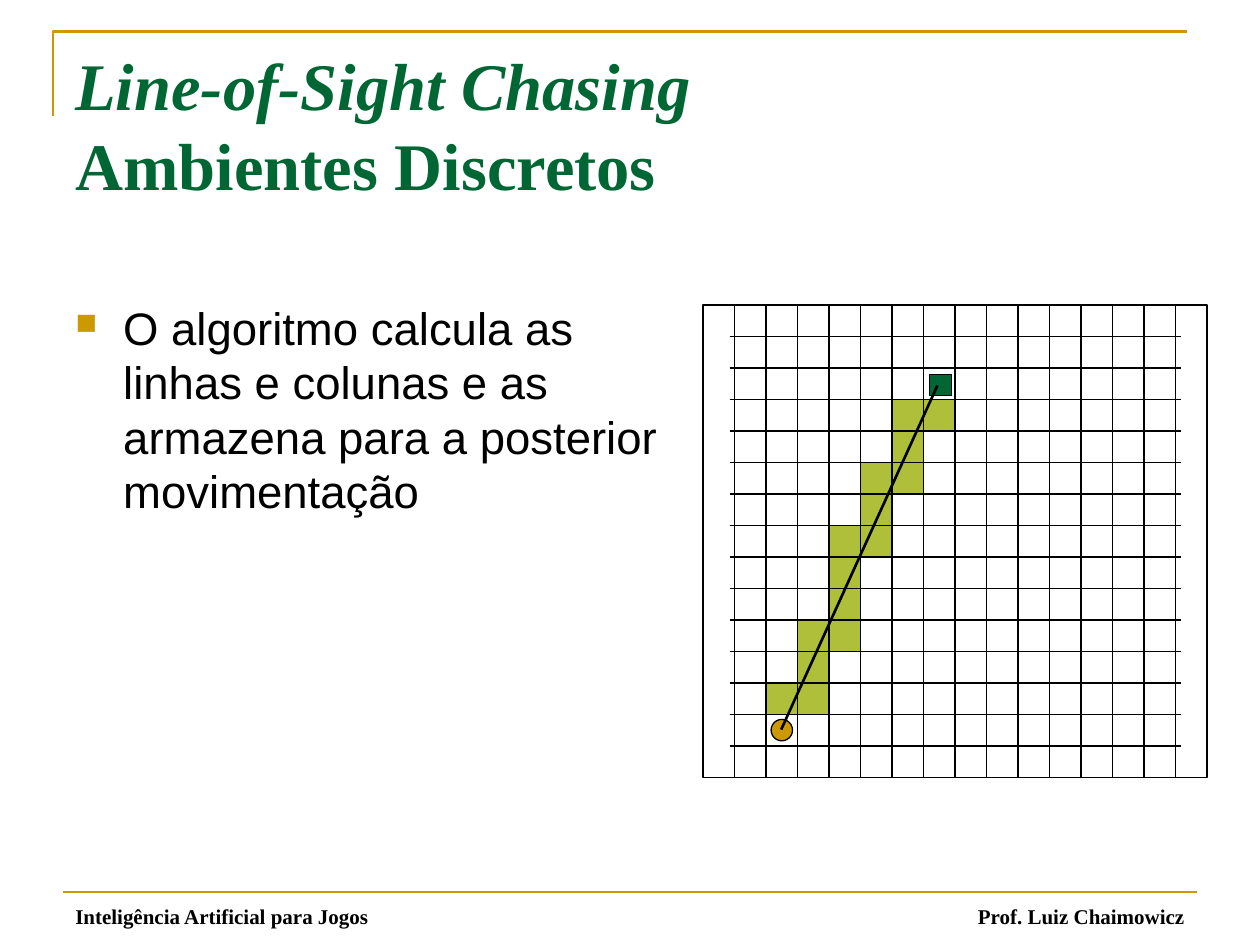
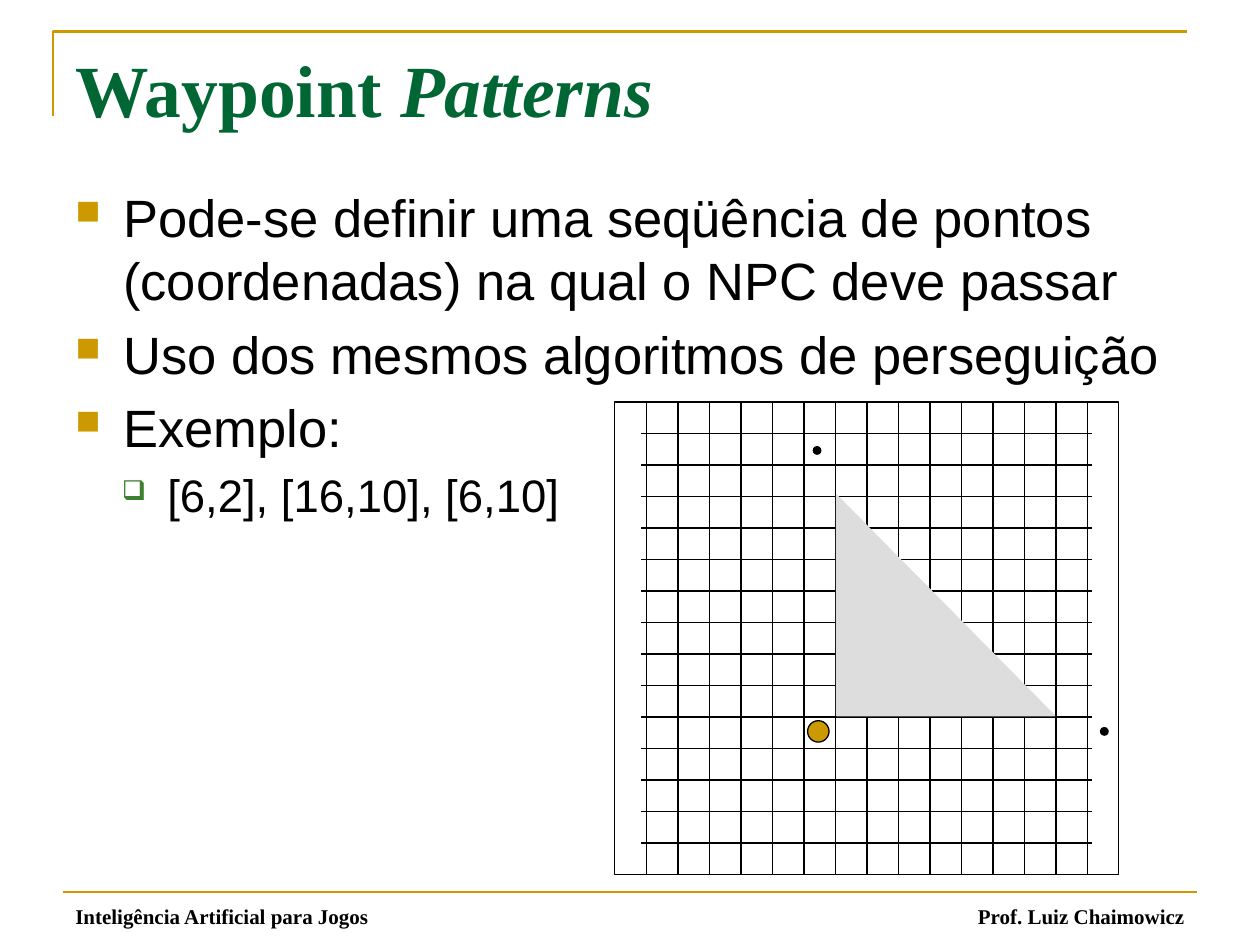
from collections import namedtuple
from dataclasses import dataclass

from lxml import etree
from pptx import Presentation
from pptx.dml.color import RGBColor
from pptx.enum import shapes, text
from pptx.oxml.ns import qn
from pptx.util import Inches, Pt


@dataclass(frozen=True)
class Theme:
    gold: str = "CC9900"
    green: str = "006633"
    leaf: str = "3B812F"
    path_cell: str = "AFBF39"
    obstacle: str = "DDDDDD"
    ink: str = "000000"
    serif: str = "Times New Roman"
    sans: str = "Arial"
    title_size: int = 42
    long_title_size: int = 38
    body_size: int = 30
    small_body_size: int = 26
    footer_size: int = 12
    thin: float = 0.75
    thick: float = 1.5


theme = Theme()
Span = namedtuple("Span", "words size italic", defaults=(False,))
Block = namedtuple("Block", "place font color bold align anchor paras")
Para = namedtuple("Para", "spans bullet", defaults=(None,))
Bullet = namedtuple("Bullet", "mark color percent indent hanging")

square = Bullet("■", theme.gold, 65, 0.38, 0.38)
hollow = Bullet("❑", theme.leaf, 60, 0.73, 0.36)
left, right = text.PP_ALIGN.LEFT, text.PP_ALIGN.RIGHT
top, bottom = text.MSO_ANCHOR.TOP, text.MSO_ANCHOR.BOTTOM
RECT = shapes.MSO_SHAPE.RECTANGLE
OVAL = shapes.MSO_SHAPE.OVAL
TRIANGLE = shapes.MSO_SHAPE.RIGHT_TRIANGLE

CELL = 0.25
COLUMNS, ROWS = 16, 15
ROW_LINE_INSET = 0.21


def draw_line(page, x1, y1, x2, y2, color=theme.ink, width=theme.thin):
    line = page.shapes.add_connector(
        shapes.MSO_CONNECTOR.STRAIGHT, Inches(x1), Inches(y1), Inches(x2), Inches(y2))
    line.line.color.rgb = RGBColor.from_string(color)
    line.line.width = Pt(width)
    etree.SubElement(line._element.spPr, qn("a:effectLst"))


def draw_shape(page, kind, x, y, width, height, fill=None, outline=theme.ink):
    """Add a preset shape; None leaves its fill or its outline empty."""
    shape = page.shapes.add_shape(
        kind, Inches(x), Inches(y), Inches(width), Inches(height))
    shape.shadow.inherit = False
    if fill:
        shape.fill.solid()
        shape.fill.fore_color.rgb = RGBColor.from_string(fill)
    else:
        shape.fill.background()
    if outline:
        shape.line.color.rgb = RGBColor.from_string(outline)
        shape.line.width = Pt(theme.thin)
    else:
        shape.line.fill.background()


footers = [
    Block((7.17, 7.17, 2.33, 0.25), theme.serif, theme.ink, True, right, bottom,
          [Para([Span("Prof. Luiz Chaimowicz", theme.footer_size)])]),
    Block((0.5, 7.17, 2.83, 0.25), theme.serif, theme.ink, True, left, bottom,
          [Para([Span("Inteligência Artificial para Jogos", theme.footer_size)])]),
]

# Each slide: title spans, body place, body paragraphs, grid corner
slides = [
    ([Span("Line-of-Sight Chasing\v", theme.long_title_size, True),
      Span("Ambientes Discretos", theme.long_title_size)],
     (0.5, 2.33, 4.83, 4.58),
     [Para([Span("O algoritmo calcula as linhas e colunas e as armazena "
                 "para a posterior movimentação", theme.small_body_size)], square)],
     (5.58, 2.42)),
    ([Span("Waypoint ", theme.title_size), Span("Patterns", theme.title_size, True)],
     (0.5, 1.42, 9, 5.5),
     [Para([Span("Pode-se definir uma seqüência de pontos (coordenadas) "
                 "na qual o NPC deve passar", theme.body_size)], square),
      Para([Span("Uso dos mesmos algoritmos de perseguição", theme.body_size)], square),
      Para([Span("Exemplo:", theme.body_size)], square),
      Para([Span("[6,2], [16,10], [6,10]", theme.small_body_size)], hollow)],
     (4.88, 3.19)),
]

deck = Presentation()
deck.slide_width, deck.slide_height = Inches(10), Inches(7.5)
pages = []

for title, body_place, body, (grid_x, grid_y) in slides:
    page = deck.slides.add_slide(deck.slide_layouts[6])
    pages.append(page)

    # Corner rule and footer rule
    builder = page.shapes.build_freeform(Inches(0.42), Inches(0.92))
    builder.add_line_segments(
        [(Inches(0.42), Inches(0.25)), (Inches(9.42), Inches(0.25))], close=False)
    corner = builder.convert_to_shape()
    corner.shadow.inherit = False
    corner.fill.background()
    corner.line.color.rgb = RGBColor.from_string(theme.gold)
    corner.line.width = Pt(theme.thick)
    draw_line(page, 0.5, 7.08, 9.5, 7.08, theme.gold, theme.thick)

    # Footers, title and body
    blocks = footers + [
        Block((0.5, 0.3, 9, 0.95), theme.serif, theme.green, True, left, top,
              [Para(title)]),
        Block(body_place, theme.sans, theme.ink, False, left, top, body),
    ]
    for block in blocks:
        box = page.shapes.add_textbox(*map(Inches, block.place))
        frame = box.text_frame
        frame.word_wrap = True
        frame.vertical_anchor = block.anchor
        for index, content in enumerate(block.paras):
            para = frame.add_paragraph() if index else frame.paragraphs[0]
            para.alignment = block.align
            if content.bullet:
                bullet = content.bullet
                para.space_before = Pt(content.spans[0].size * 0.2)
                props = para._p.get_or_add_pPr()
                props.set("marL", str(Inches(bullet.indent)))
                props.set("indent", str(-Inches(bullet.hanging)))
                color = etree.SubElement(props, qn("a:buClr"))
                etree.SubElement(color, qn("a:srgbClr"), val=bullet.color)
                etree.SubElement(props, qn("a:buSzPct"), val=str(bullet.percent * 1000))
                etree.SubElement(props, qn("a:buChar"), char=bullet.mark)
            for item in content.spans:
                span = para.add_run()
                span.text = item.words.rstrip("\v")
                span.font.name = block.font
                span.font.size = Pt(item.size)
                span.font.bold = block.bold
                span.font.italic = item.italic
                span.font.color.rgb = RGBColor.from_string(block.color)
                if item.words.endswith("\v"):
                    para.add_line_break()

    # Grid
    width, height = COLUMNS * CELL, ROWS * CELL
    draw_shape(page, RECT, grid_x, grid_y, width, height)
    for column in range(1, COLUMNS):
        x = grid_x + column * CELL
        draw_line(page, x, grid_y, x, grid_y + height)
    for row in range(1, ROWS):
        y = grid_y + row * CELL
        draw_line(page, grid_x + ROW_LINE_INSET, y, grid_x + width - ROW_LINE_INSET, y)

chase_page, waypoint_page = pages

# Cells crossed on the way from the chaser to its target: row, columns
chase_x, chase_y = slides[0][3]
crossed = [(3, [7]), (3, [6]), (4, [6]), (5, [5, 6]), (6, [5]), (7, [4, 5]),
           (8, [4]), (9, [4]), (10, [3, 4]), (11, [3]), (12, [2, 3])]
draw_shape(chase_page, RECT, 7.38, 2.97, 0.17, 0.17, theme.green)
draw_shape(chase_page, OVAL, 6.12, 5.71, 0.17, 0.17, theme.gold)
for row, columns in crossed:
    for column in columns:
        draw_shape(chase_page, RECT, chase_x + column * CELL, chase_y + row * CELL,
                   CELL, CELL, theme.path_cell)
draw_line(chase_page, 6.2, 5.79, 7.44, 3.06, width=theme.thick)

# Obstacle, waypoints and the character that visits them
draw_shape(waypoint_page, TRIANGLE, 6.64, 3.93, 1.73, 1.75,
           theme.obstacle, theme.obstacle)
for x, y in [(6.45, 3.54), (6.45, 5.77), (8.73, 5.77)]:
    draw_shape(waypoint_page, OVAL, x, y, 0.07, 0.07, theme.ink, None)
draw_shape(waypoint_page, OVAL, 6.41, 5.72, 0.17, 0.17, theme.gold)

deck.save("out.pptx")
